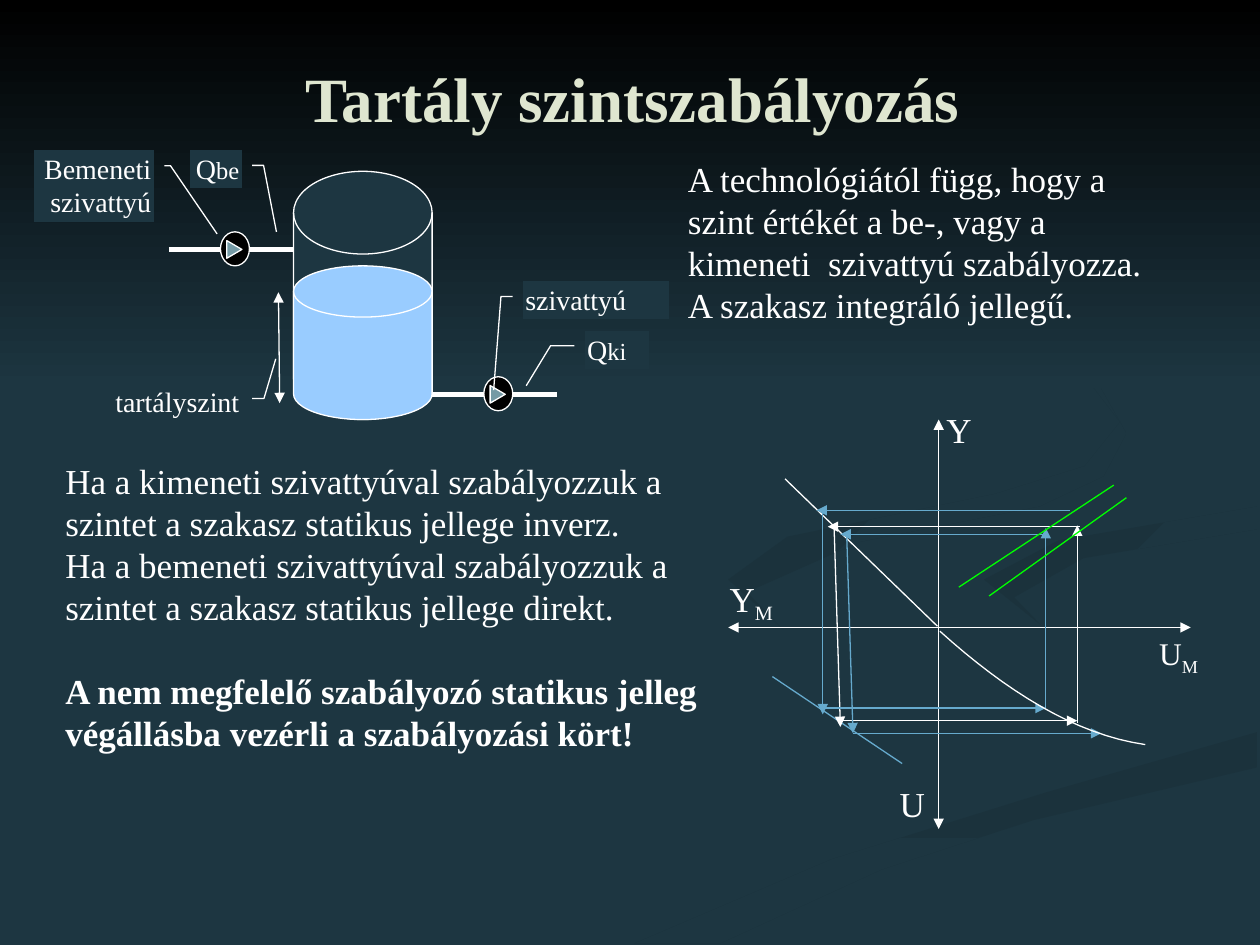
from lxml import etree
from pptx import Presentation
from pptx.dml.color import RGBColor
from pptx.enum.shapes import MSO_CONNECTOR, MSO_SHAPE
from pptx.enum.text import MSO_ANCHOR, PP_ALIGN
from pptx.oxml.ns import qn
from pptx.util import Inches, Pt

COLORS = {
    "base": "1D3641", "shade": "1B323C", "black": "000000",
    "title": "DFE6D0", "white": "FFFFFF", "water": "99CCFF",
    "impeller": "759AA5", "blue": "66AACD", "green": "00FF00",
}
FONT = "Times New Roman"
BOTH_ENDS = ("headEnd", "tailEnd")
SWIRLS = [
    ("shade", 270, [(5.03, 7.49), (5.71, 7.49), (7, 6.9), (8.2, 6.51), (9.98, 6.09),
                    (9.98, 5.81), (8.3, 6.29), (6.6, 6.82)]),
    ("shade", 315, [(7.81, 4.6), (8.26, 4.96), (8.05, 4.74), (8.6, 4.43), (9.98, 4.2),
                    (9.98, 4.02), (8.4, 4.29)]),
    ("shade", 315, [(6.83, 4.3), (8.25, 4.02), (8.76, 3.78), (8.94, 3.44), (8.64, 2.91),
                    (7.62, 2.33), (8.46, 2.79), (8.89, 3.35), (8.61, 3.7), (7.9, 3.92),
                    (6.25, 4.26), (5.78, 4.6), (6.22, 5), (5.93, 4.7)]),
    ("black", 270, [(0, 0), (0, 3.08), (10, 3.08), (10, 0)]),
]


def rgb(key):
    return RGBColor.from_string(COLORS[key])


def write_text(frame, paragraphs, size=20, color="white", bold=False,
               align=PP_ALIGN.LEFT, inset=(0.02, 0.01), anchor=MSO_ANCHOR.TOP):
    frame.word_wrap = True
    frame.vertical_anchor = anchor
    frame.margin_left = frame.margin_right = Inches(inset[0])
    frame.margin_top = frame.margin_bottom = Inches(inset[1])
    for index, runs in enumerate(paragraphs):
        paragraph = frame.paragraphs[0] if index == 0 else frame.add_paragraph()
        paragraph.alignment = align
        for text, style in runs:
            run = paragraph.add_run()
            run.text = text
            run.font.name = FONT
            run.font.size = Pt(style.get("size", size))
            run.font.bold = style.get("bold", bold)
            run.font.color.rgb = rgb(color)
            if "baseline" in style:
                run._r.get_or_add_rPr().set("baseline", style["baseline"])


def add_text(slide, left, top, width, height, paragraphs, **style):
    box = slide.shapes.add_textbox(Inches(left), Inches(top), Inches(width), Inches(height))
    write_text(box.text_frame, paragraphs, **style)
    return box


def add_figure(slide, kind, left, top, width, height, fill):
    figure = slide.shapes.add_shape(kind, Inches(left), Inches(top), Inches(width), Inches(height))
    figure.shadow.inherit = False
    figure.fill.solid()
    figure.fill.fore_color.rgb = rgb(fill)
    figure.line.color.rgb = rgb("white")
    figure.line.width = Pt(0.75)
    return figure


def add_line(slide, x1, y1, x2, y2, color="white", width=0.75, ends=()):
    line = slide.shapes.add_connector(
        MSO_CONNECTOR.STRAIGHT, Inches(x1), Inches(y1), Inches(x2), Inches(y2))
    line.line.color.rgb = rgb(color)
    line.line.width = Pt(width)
    for end in ends:
        etree.SubElement(line.line._get_or_add_ln(), qn(f"a:{end}"), type="triangle")
    etree.SubElement(line._element.spPr, qn("a:effectLst"))


def add_path(slide, left, top, points, close):
    corners = [(Inches(left + x), Inches(top + y)) for x, y in points]
    builder = slide.shapes.build_freeform(*corners[0])
    builder.add_line_segments(corners[1:], close=close)
    path = builder.convert_to_shape()
    path.shadow.inherit = False
    return path


def draw_backdrop(slide, left, top):
    slide.background.fill.solid()
    slide.background.fill.fore_color.rgb = rgb("base")
    for start, angle, points in SWIRLS:
        swirl = add_path(slide, left, top, points, True)
        swirl.line.fill.background()
        swirl.fill.gradient()
        swirl.fill.gradient_angle = angle
        for position, (stop, color) in enumerate(zip(swirl.fill.gradient_stops, (start, "base"))):
            stop.color.rgb = rgb(color)
            stop.position = position


def place_title(slide, left, top, width, height):
    title = slide.shapes.title
    title.element.getparent().append(title.element)
    title.left, title.top = Inches(left), Inches(top)
    title.width, title.height = Inches(width), Inches(height)
    write_text(title.text_frame, [[("Tartály szintszabályozás", {})]], size=36, color="title",
               bold=True, align=PP_ALIGN.CENTER, inset=(0.1, 0.05), anchor=MSO_ANCHOR.MIDDLE)


def draw_pump(slide, left, top):
    add_line(slide, left, top + 0.14, left + 0.99, top + 0.14, width=3)
    add_figure(slide, MSO_SHAPE.OVAL, left + 0.41, top, 0.23, 0.27, "black")
    impeller = add_figure(slide, MSO_SHAPE.FLOWCHART_EXTRACT,
                          left + 0.45, top + 0.08, 0.14, 0.12, "impeller")
    impeller.rotation = 90


def draw_tank(slide, left, top):
    for offset, height, fill in ((0.17, 1.97, "base"), (0.92, 1.22, "water")):
        add_figure(slide, MSO_SHAPE.FLOWCHART_MAGNETIC_DISK,
                   left + 2.06, top + offset, 1.1, height, fill)
    for x, y in ((3.16, 1.8), (1.07, 0.65)):
        draw_pump(slide, left + x, top + y)
    add_line(slide, left + 1.94, top + 1.13, left + 1.95, top + 2.01, ends=BOTH_ENDS)
    right, start = PP_ALIGN.RIGHT, PP_ALIGN.LEFT
    small = {"size": 14}
    callouts = [
        (1.24, 0, 0.41, 0.3, right, [("Q", {}), ("be", small)], (0.41, 1.2, 1.42, 2.17, 1.67)),
        (4.37, 1.44, 0.51, 0.3, start, [("Q", {}), ("ki", small)],
         (0.38, -0.16, -0.53, 1.44, -0.91)),
        (0.48, 1.85, 1.17, 0.3, right, [("tartályszint", {})], (0.41, 1.07, 1.15, -0.64, 1.23)),
        (3.88, 1.04, 1.16, 0.3, start, [("szivattyú", {})], (0.41, -0.07, -0.15, 2.89, -0.2)),
        (0, 0, 0.95, 0.57, right, [("Bemeneti szivattyú", {})], (0.22, 1.09, 1.14, 1.17, 1.53)),
    ]
    for x, y, width, height, align, runs, (level, near, bend, tip_y, tip_x) in callouts:
        callout = add_figure(slide, MSO_SHAPE.LINE_CALLOUT_2_NO_BORDER,
                             left + x, top + y, width, height, "base")
        for index, value in enumerate((level, near, level, bend, tip_y, tip_x)):
            callout.adjustments[index] = value
        write_text(callout.text_frame, [runs], size=16, align=align)


def bezier(knots, steps=16):
    for step in range(steps + 1):
        t = step / steps
        weights = ((1 - t) ** 3, 3 * t * (1 - t) ** 2, 3 * t * t * (1 - t), t ** 3)
        yield tuple(sum(w * knot[axis] for w, knot in zip(weights, knots)) for axis in (0, 1))


def draw_characteristics(slide, left, top, width, height):
    def draw(x1, y1, x2, y2, color="white", ends=()):
        add_line(slide, left + x1, top + y1, left + x2, top + y2, color, ends=ends)

    tail = ("tailEnd",)
    draw(1.67, height, 1.67, 0, ends=BOTH_ENDS)
    draw(0, 1.65, width, 1.65, ends=BOTH_ENDS)
    draw(0.45, 0.47, 1.66, 1.64)
    draw(0.35, 2.04, 1.38, 2.73, "blue")
    for color, upper, upper_right, edge, foot, lower, foot_tip, lower_right in (
            ("white", 0.85, 2.79, 0.84, 0.89, 2.39, 2.44, 2.77),
            ("blue", 0.91, 2.52, 0.94, 0.99, 2.49, 2.49, 2.96),
            ("blue", 0.72, 2.71, 0.75, 0.75, 2.29, 2.34, 2.52)):
        draw(upper_right, upper, edge - 0.05, upper, color, tail)
        draw(edge, upper, foot, foot_tip, color, tail)
        draw(foot, lower, lower_right, lower, color, tail)
    draw(2.77, 2.41, 2.77, 0.84, "white", tail)
    draw(2.52, 2.29, 2.52, 0.86, "blue", tail)

    knots = [(1.68, 1.68), (2.2, 2.15), (2.75, 2.5), (3.31, 2.58)]
    curve = add_path(slide, left, top, list(bezier(knots)), False)
    curve.fill.background()
    curve.line.color.rgb = rgb("white")
    curve.line.width = Pt(0.75)
    draw(3.06, 0.52, 1.83, 1.33, "green")
    draw(3.16, 0.62, 2.07, 1.4, "green")

    index_m = ("M", {"baseline": "-25000"})
    for x, y, label_width, size, runs in (
            (1.71, -0.09, 0.28, 20, [("Y", {})]),
            (3.4, 1.7, 0.4, 18, [("U", {}), index_m]),
            (-0.01, 1.25, 0.43, 20, [("Y", {}), index_m]),
            (1.34, 2.88, 0.28, 20, [("U", {})])):
        add_text(slide, left + x, top + y, label_width, size / 60, [runs],
                 size=size, inset=(0.02, 0))


def write_technology(slide, left, top, width, height):
    add_text(slide, left, top, width, height, [
        [("A technológiától függ, hogy a szint értékét a be-, vagy a "
          "kimeneti  szivattyú szabályozza.", {})],
        [("A szakasz integráló jellegű.", {})]])


def write_conclusion(slide, left, top, width, height):
    conclusion = add_text(slide, left, top, width, height, [
        [("Ha a kimeneti szivattyúval szabályozzuk a szintet a szakasz statikus jellege inverz.", {})],
        [("Ha a bemeneti szivattyúval szabályozzuk a szintet a szakasz statikus jellege direkt.", {})],
        [("A nem megfelelő szabályozó statikus jelleg végállásba vezérli a szabályozási kört!",
          {"bold": True})]], inset=(0.1, 0.05))
    conclusion.text_frame.paragraphs[-1].space_before = Pt(24)


def main():
    deck = Presentation()
    deck.slide_width, deck.slide_height = Inches(10), Inches(7.5)
    slide = deck.slides.add_slide(deck.slide_layouts[5])
    draw_backdrop(slide, 0, 0)
    place_title(slide, 0.77, 0.45, 8.5, 0.64)
    write_technology(slide, 5.44, 1.24, 3.69, 1.36)
    draw_tank(slide, 0.27, 1.19)
    write_conclusion(slide, 0.42, 3.6, 5.28, 2.43)
    draw_characteristics(slide, 5.78, 3.33, 3.67, 3.25)
    deck.save("out.pptx")


if __name__ == "__main__":
    main()
